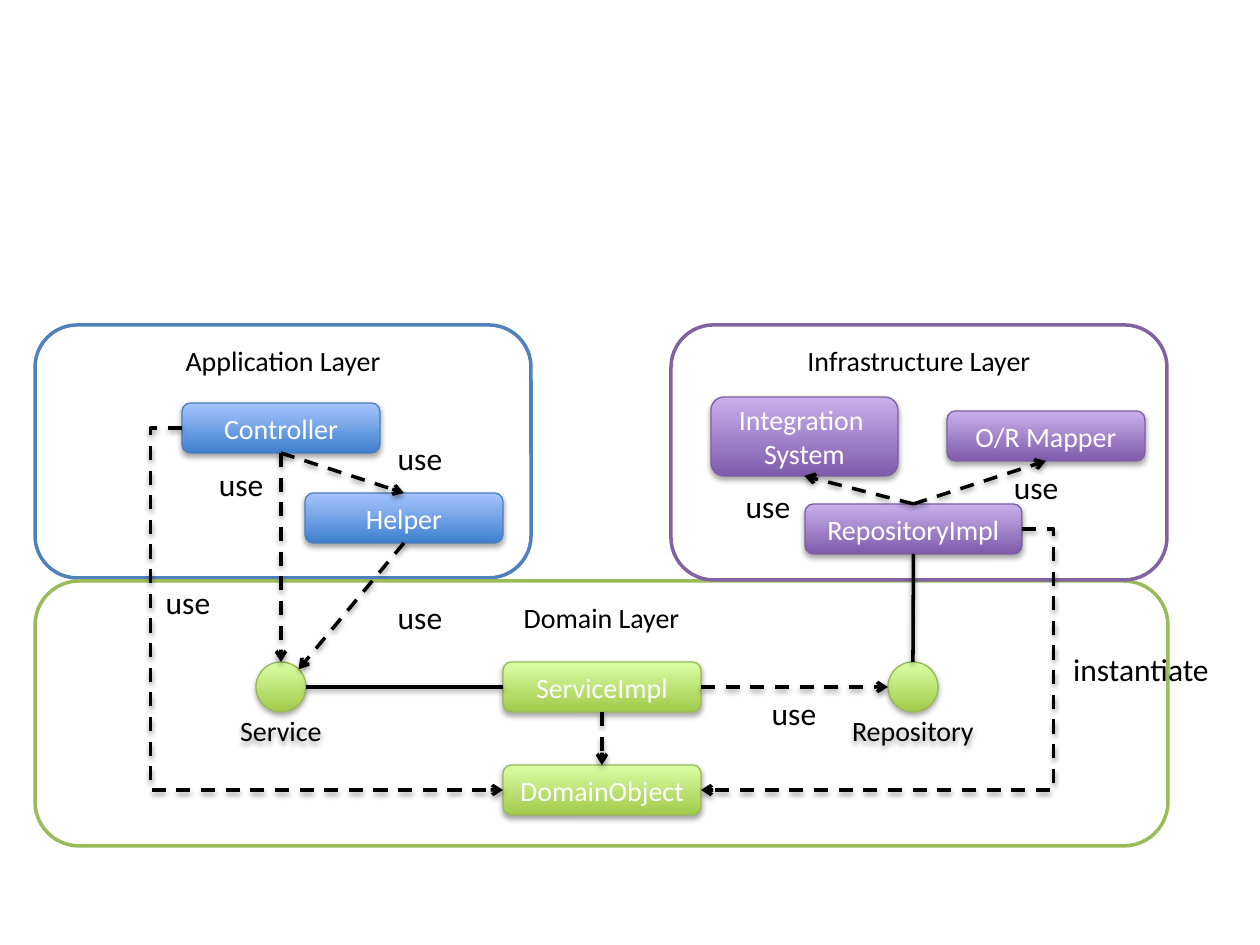
from math import sqrt
from lxml.etree import SubElement
from pptx import Presentation
from pptx.dml.color import RGBColor
from pptx.enum.dml import MSO_LINE
from pptx.enum.shapes import MSO_CONNECTOR, MSO_SHAPE
from pptx.enum.text import MSO_ANCHOR, MSO_AUTO_SIZE, PP_ALIGN
from pptx.oxml.ns import qn
from pptx.util import Pt

PX = 914400 // 126
FONT = "Calibri"
BLACK = RGBColor(0, 0, 0)
WHITE = RGBColor(255, 255, 255)

# Layer: frame line, node line, gradient bottom, gradient top
PALETTES = {
    "Application Layer": [RGBColor.from_string(c) for c in ("4F81BD", "4B7EBC", "3F80CE", "A4C4FF")],
    "Domain Layer": [RGBColor.from_string(c) for c in ("9BBB59", "98B955", "A0CA4A", "DAFFA5")],
    "Infrastructure Layer": [RGBColor.from_string(c) for c in ("8064A2", "7D60A0", "7F5BAB", "C8B0ED")],
}
LAYERS = [
    ("Application Layer", (35, 325, 496, 253)),
    ("Domain Layer", (35, 581, 1133, 265)),
    ("Infrastructure Layer", (671, 325, 496, 255)),
]

# Nodes: layer, label, left, top, width, height
BOX_W, BOX_H = 198, 50
BOXES = [
    ("Application Layer", "Controller", 182, 403, BOX_W, BOX_H),
    ("Application Layer", "Helper", 305, 493, BOX_W, BOX_H),
    ("Domain Layer", "ServiceImpl", 503, 662, BOX_W, BOX_H),
    ("Domain Layer", "DomainObject", 503, 765, BOX_W, BOX_H),
    ("Infrastructure Layer", "O/R Mapper", 947, 411, BOX_W, BOX_H),
    ("Infrastructure Layer", "RepositoryImpl", 805, 504, 217, BOX_H),
    ("Infrastructure Layer", "Integration \nSystem", 711, 397, 187, 79),
]
INTERFACES = [("Service", 256, 662), ("Repository", 888, 662)]

# Links: from, side, to, side
REALIZATIONS = [
    ("Service", "right", "ServiceImpl", "left"),
    ("RepositoryImpl", "bottom", "Repository", "top"),
]
DEPENDENCIES = [
    ("ServiceImpl", "right", "Repository", "left"),
    ("Controller", "bottom", "Service", "top"),
    ("Controller", "bottom", "Helper", "top"),
    ("Helper", "bottom", "Service", "top right"),
    ("RepositoryImpl", "top", "O/R Mapper", "bottom"),
    ("RepositoryImpl", "top", "Integration \nSystem", "bottom"),
    ("ServiceImpl", "bottom", "DomainObject", "top"),
]
DETOURS = [
    ("Controller", "left", "DomainObject", "left"),
    ("RepositoryImpl", "right", "DomainObject", "right"),
]
DETOUR_ADJUST = -9800

# Side: x share, y share, site number on a box, site number on a circle
DIAGONAL = sqrt(2) / 4
SIDES = {
    "top": (0.5, 0, 0, 0),
    "left": (0, 0.5, 1, 2),
    "bottom": (0.5, 1, 2, 4),
    "right": (1, 0.5, 3, 6),
    "top right": (0.5 + DIAGONAL, 0.5 - DIAGONAL, None, 7),
}

USE_W, LABEL_H = 82, 51
LINK_LABELS = [("use", x, y, USE_W) for x, y in (
    (379, 592), (753, 688), (379, 433), (200, 459), (147, 577), (727, 481), (995, 462),
)] + [("instantiate", 1054, 644, 174)]

deck = Presentation()
deck.slide_width, deck.slide_height = 1260 * PX, 945 * PX
slide = deck.slides.add_slide(deck.slide_layouts[6])
nodes = {}


def write(frame, text, size, color):
    for number, words in enumerate(text.split("\n")):
        paragraph = frame.add_paragraph() if number else frame.paragraphs[0]
        paragraph.alignment = PP_ALIGN.CENTER
        run = paragraph.add_run()
        run.text = words
        run.font.name, run.font.size = FONT, Pt(size)
        run.font.color.rgb = color


def cast_shadow(effects, distance, opacity):
    shadow = SubElement(effects, qn("a:outerShdw"), blurRad="40000", dist=str(distance),
                        dir="5400000", rotWithShape="0")
    color = SubElement(shadow, qn("a:srgbClr"), val="000000")
    SubElement(color, qn("a:alpha"), val=str(opacity))


def add_outline(kind, area, color, width):
    outline = slide.shapes.add_shape(kind, *(n * PX for n in area))
    outline.shadow.inherit = False
    outline.line.color.rgb, outline.line.width = color, Pt(width)
    return outline


def add_node(kind, layer, label, area, color):
    _, edge, bottom, top = PALETTES[layer]
    node = add_outline(kind, area, edge, 0.75)
    node.fill.gradient()
    node.fill.gradient_angle = 90
    for stop, shade in zip(node.fill.gradient_stops, (bottom, top)):
        stop.color.rgb = shade
    cast_shadow(node.element.spPr.find(qn("a:effectLst")), 23000, 35000)
    node.text_frame.vertical_anchor = MSO_ANCHOR.MIDDLE
    write(node.text_frame, label, 16, color)
    nodes[label] = node
    return node


def locate(label, side):
    node = nodes[label]
    across, down, box_site, circle_site = SIDES[side]
    site = circle_site if node.auto_shape_type == MSO_SHAPE.OVAL else box_site
    return node, site, int(node.left + across * node.width), int(node.top + down * node.height)


def add_link(source, source_side, target, target_side, dashed=True, kind=MSO_CONNECTOR.STRAIGHT):
    start, start_site, x1, y1 = locate(source, source_side)
    end, end_site, x2, y2 = locate(target, target_side)
    link = slide.shapes.add_connector(kind, x1, y1, x2, y2)
    link.line.color.rgb, link.line.width = BLACK, Pt(2)
    properties = link.element.spPr
    if dashed:
        link.line.dash_style = MSO_LINE.DASH
        SubElement(properties.find(qn("a:ln")), qn("a:tailEnd"), type="arrow")
    if kind == MSO_CONNECTOR.ELBOW:
        guides = properties.find(qn("a:prstGeom")).get_or_add_avLst()
        SubElement(guides, qn("a:gd"), name="adj1", fmla=f"val {DETOUR_ADJUST}")
    cast_shadow(SubElement(properties, qn("a:effectLst")), 20000, 38000)
    # Glue both ends to their nodes
    glue = link.element.nvCxnSpPr.cNvCxnSpPr
    for tie, node, site in ((glue.get_or_add_stCxn(), start, start_site),
                            (glue.get_or_add_endCxn(), end, end_site)):
        tie.id, tie.idx = node.shape_id, site


# Layer frames
for layer, area in LAYERS:
    frame = add_outline(MSO_SHAPE.ROUNDED_RECTANGLE, area, PALETTES[layer][0], 2)
    frame.fill.solid()
    frame.fill.fore_color.rgb = WHITE
    frame.text_frame.vertical_anchor = MSO_ANCHOR.TOP
    write(frame.text_frame, layer, 16, BLACK)

# Classes and interfaces
for layer, label, *area in BOXES:
    add_node(MSO_SHAPE.ROUNDED_RECTANGLE, layer, label, area, WHITE)
for label, x, y in INTERFACES:
    circle = add_node(MSO_SHAPE.OVAL, "Domain Layer", label, (x, y, BOX_H, BOX_H), BLACK)
    circle.text_frame.word_wrap = False
    circle.text_frame.margin_top = 100 * PX
    circle.text_frame.margin_bottom = 13 * PX

# Links
for ends in REALIZATIONS:
    add_link(*ends, dashed=False)
for ends in DEPENDENCIES:
    add_link(*ends)
for ends in DETOURS:
    add_link(*ends, kind=MSO_CONNECTOR.ELBOW)

# Link labels
for words, x, y, width in LINK_LABELS:
    label = slide.shapes.add_textbox(x * PX, y * PX, width * PX, LABEL_H * PX).text_frame
    label.word_wrap = True
    label.auto_size = MSO_AUTO_SIZE.SHAPE_TO_FIT_TEXT
    write(label, words, 18, BLACK)

deck.save("out.pptx")
